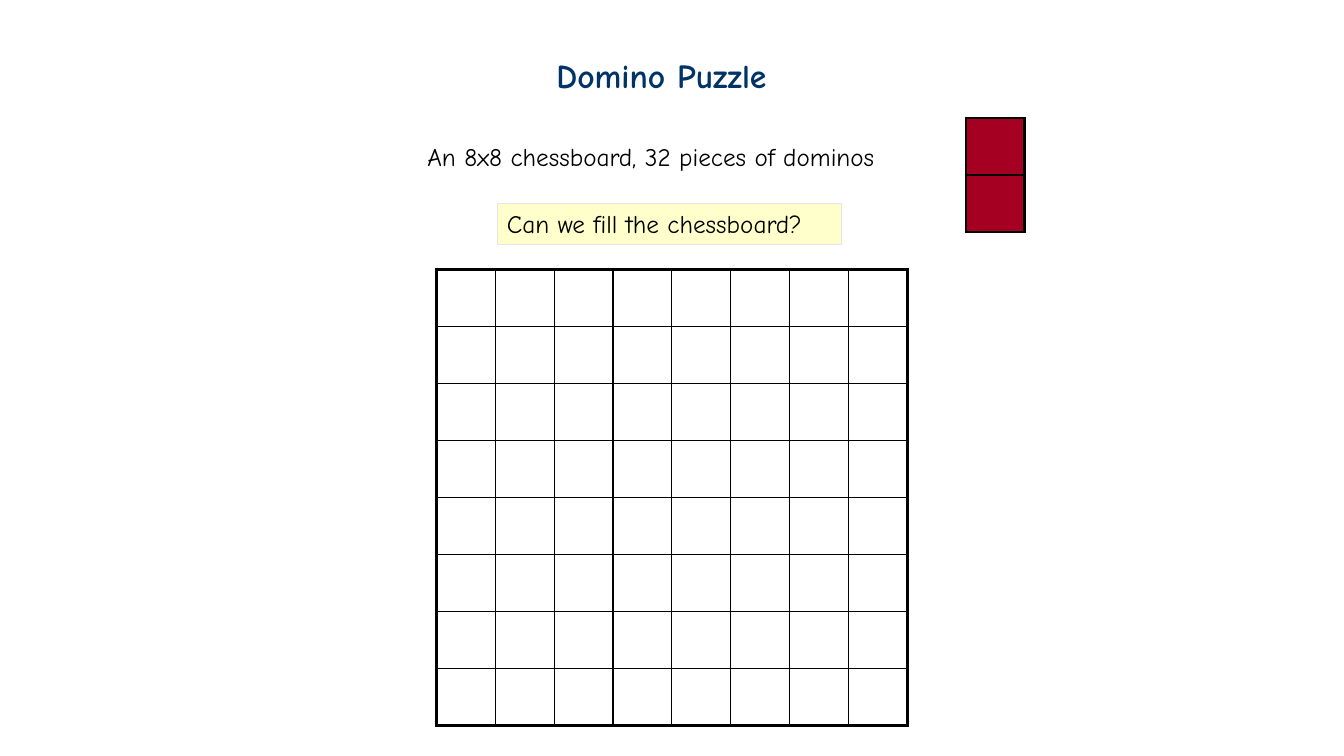
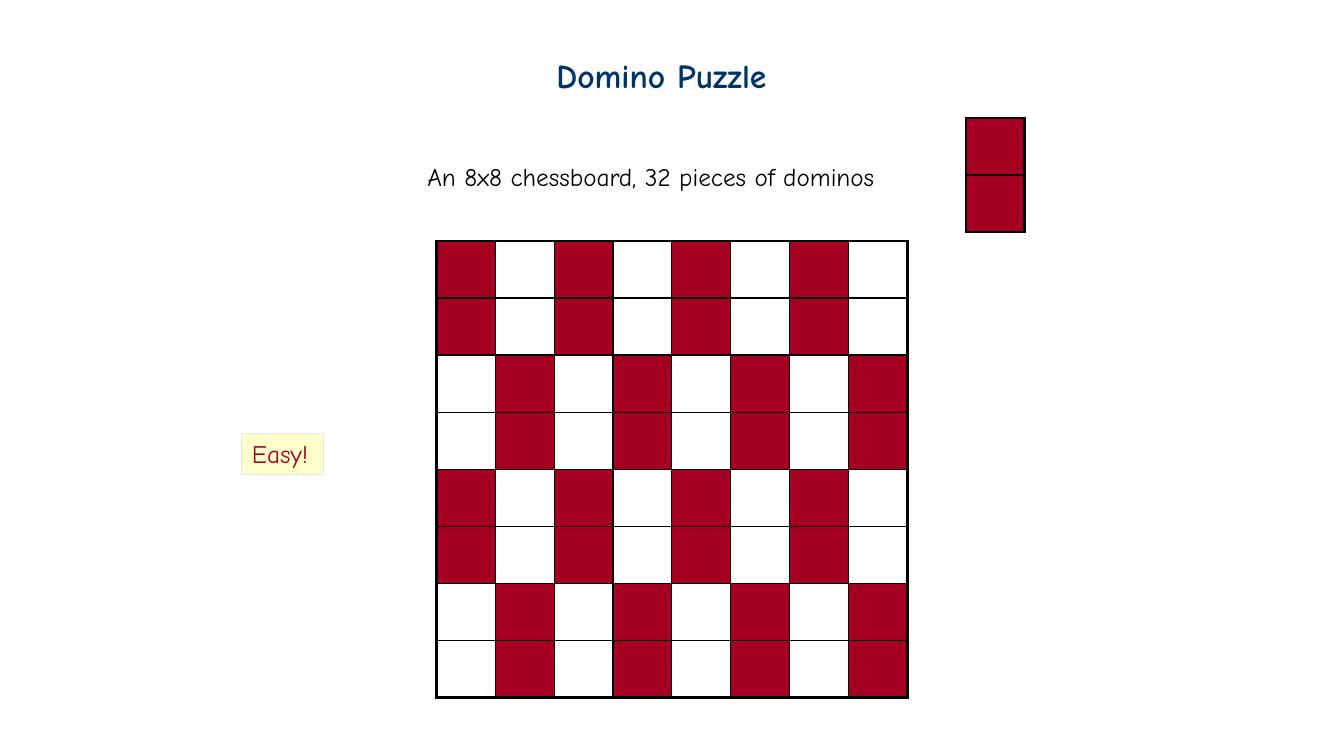
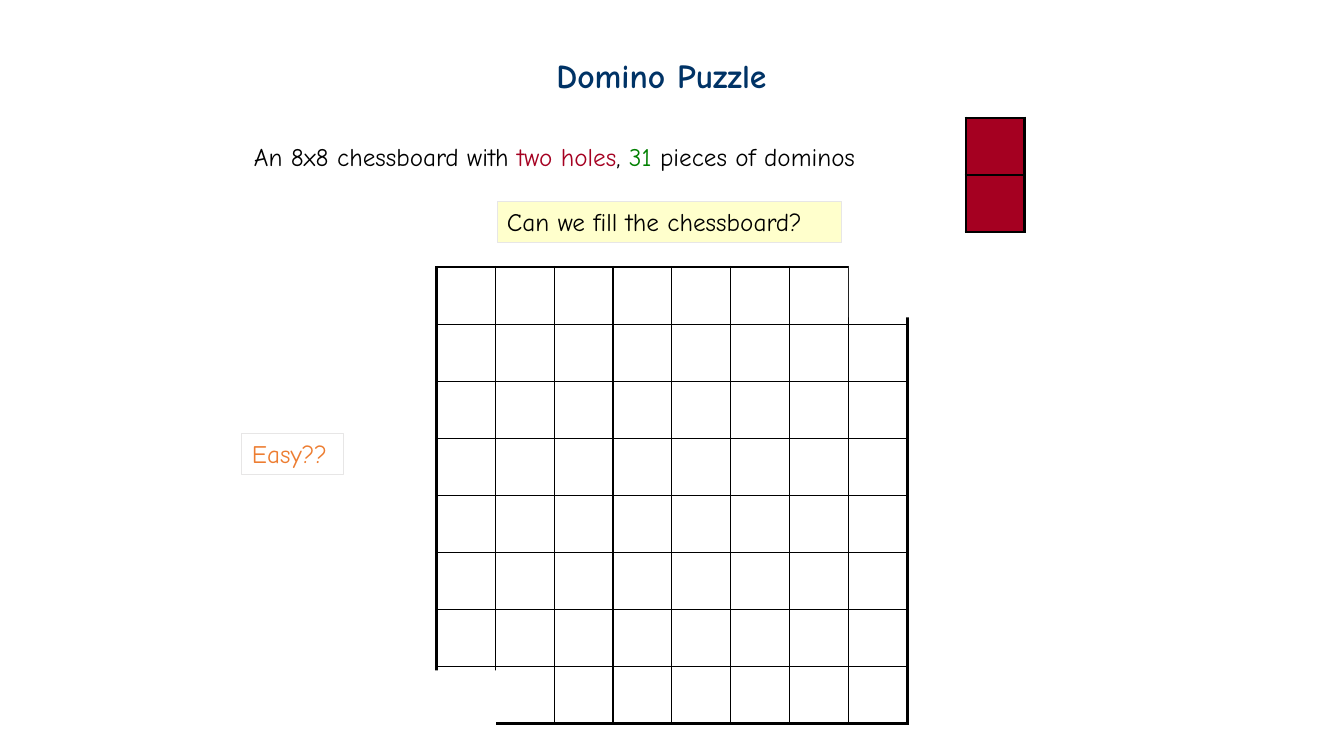
from dataclasses import dataclass

from pptx import Presentation
from pptx.dml.color import RGBColor
from pptx.enum.shapes import MSO_SHAPE
from pptx.enum.text import MSO_ANCHOR, MSO_AUTO_SIZE, PP_ALIGN
from pptx.oxml.ns import qn
from pptx.util import Inches, Pt
from lxml import etree

RECTANGLE = MSO_SHAPE.RECTANGLE
TOP = MSO_ANCHOR.TOP
GROW = MSO_AUTO_SIZE.SHAPE_TO_FIT_TEXT
LEFT = PP_ALIGN.LEFT


@dataclass(frozen=True)
class Theme:
    font: str = "Comic Neue"
    title_size: int = 24
    body_size: int = 18
    title: str = "003366"
    text: str = "000000"
    red: str = "A50021"
    green: str = "008000"
    orange: str = "ED7D31"
    note: str = "FFFFCC"
    white: str = "FFFFFF"
    outline: str = "E7E6E6"
    outline_width: float = 0.75
    outer_border: float = 2.25
    inner_border: float = 1


THEME = Theme()
SQUARES = 8
BOARD_WIDTH, BOARD_HEIGHT = 4.67, 4.53
SQUARE_WIDTH, SQUARE_HEIGHT = BOARD_WIDTH / SQUARES, BOARD_HEIGHT / SQUARES
BOARD_LEFT = 4.33
HOLE_WIDTH, HOLE_HEIGHT = 0.67, 0.58


def rgb(color):
    return RGBColor.from_string(color)


def write(frame, runs, size, bold=False):
    """Fill a text frame with one line made of (text, colour) runs."""
    frame.word_wrap = False
    frame.auto_size = GROW
    frame.vertical_anchor = TOP
    line = frame.paragraphs[0]
    line.alignment = LEFT
    for text, color in runs:
        run = line.add_run()
        run.text = text
        run.font.name = THEME.font
        run.font.size = Pt(size)
        run.font.bold = bold
        run.font.color.rgb = rgb(color)


def add_line(slide, left, top, width, height, runs, size=THEME.body_size, bold=False):
    box = slide.shapes.add_textbox(Inches(left), Inches(top), Inches(width), Inches(height))
    write(box.text_frame, runs, size, bold)


def add_rectangle(slide, left, top, width, height, fill):
    rectangle = slide.shapes.add_shape(
        RECTANGLE, Inches(left), Inches(top), Inches(width), Inches(height))
    rectangle.shadow.inherit = False
    rectangle.fill.solid()
    rectangle.fill.fore_color.rgb = rgb(fill)
    rectangle.line.fill.background()
    return rectangle


def add_note(slide, left, top, width, text, color=THEME.text, fill=THEME.note):
    note = add_rectangle(slide, left, top, width, 0.41, fill)
    note.line.color.rgb = rgb(THEME.outline)
    note.line.width = Pt(THEME.outline_width)
    write(note.text_frame, [(text, color)], THEME.body_size)


def set_borders(cell, outer_sides):
    """Draw all four borders, heavier where a side is on the table's edge."""
    properties = cell._tc.get_or_add_tcPr()
    for side, is_outer in outer_sides.items():
        width = THEME.outer_border if is_outer else THEME.inner_border
        border = etree.SubElement(properties, qn(f"a:ln{side}"), w=str(Pt(width)))
        fill = etree.SubElement(border, qn("a:solidFill"))
        etree.SubElement(fill, qn("a:srgbClr"), val=THEME.text)


def add_squares(slide, left, top, rows, columns, is_red):
    """Add a grid of squares; is_red(row, column) chooses the filled ones."""
    table = slide.shapes.add_table(
        rows, columns, Inches(left), Inches(top),
        Inches(columns * SQUARE_WIDTH), Inches(rows * SQUARE_HEIGHT)).table
    table.first_row = table.horz_banding = False
    for column in table.columns:
        column.width = Inches(SQUARE_WIDTH)
    for r, row in enumerate(table.rows):
        row.height = Inches(SQUARE_HEIGHT)
        for c, cell in enumerate(row.cells):
            set_borders(cell, {"L": c == 0, "R": c == columns - 1,
                               "T": r == 0, "B": r == rows - 1})
            if is_red(r, c):
                cell.fill.solid()
                cell.fill.fore_color.rgb = rgb(THEME.red)
            else:
                cell.fill.background()


def add_board(slide, top, is_red=lambda row, column: False):
    add_squares(slide, BOARD_LEFT, top, SQUARES, SQUARES, is_red)


def add_puzzle_slide(deck):
    """Add a slide with the shared title and sample domino."""
    slide = deck.slides.add_slide(deck.slide_layouts[6])
    add_line(slide, 5.42, 0.5, 2.45, 0.5, [("Domino Puzzle", THEME.title)],
             THEME.title_size, bold=True)
    add_squares(slide, 9.58, 1.17, 2, 1, lambda row, column: True)
    return slide


def add_full_board_statement(slide, top):
    add_line(slide, 4.14, top, 5.03, 0.4,
             [("An 8x8 chessboard, 32 pieces of dominos", THEME.text)])


def add_question(slide, top):
    add_note(slide, 4.93, top, 3.42, "Can we fill the chessboard?")


def build_question(deck):
    slide = add_puzzle_slide(deck)
    add_board(slide, 2.67)
    add_full_board_statement(slide, 1.35)
    add_question(slide, 2.02)


def build_solution(deck):
    slide = add_puzzle_slide(deck)
    add_board(slide, 2.39, lambda row, column: (row // 2 + column) % 2 == 0)
    add_full_board_statement(slide, 1.55)
    add_note(slide, 2.4, 4.3, 0.81, "Easy!", THEME.red)


def build_two_holes(deck):
    slide = add_puzzle_slide(deck)
    add_line(slide, 2.42, 1.35, 6.74, 0.4, [
        ("An 8x8 chessboard with ", THEME.text), ("two holes", THEME.red),
        (", ", THEME.text), ("31", THEME.green), (" pieces of dominos", THEME.text)])
    add_board(slide, 2.65)
    add_question(slide, 2)
    for left, top in ((4.25, 6.65), (8.42, 2.57)):
        add_rectangle(slide, left, top, HOLE_WIDTH, HOLE_HEIGHT, THEME.white)
    add_note(slide, 2.4, 4.3, 1.01, "Easy??", THEME.orange, THEME.white)


def main():
    deck = Presentation()
    deck.slide_width, deck.slide_height = Inches(13.33), Inches(7.5)
    build_question(deck)
    build_solution(deck)
    build_two_holes(deck)
    deck.save("out.pptx")


if __name__ == "__main__":
    main()
